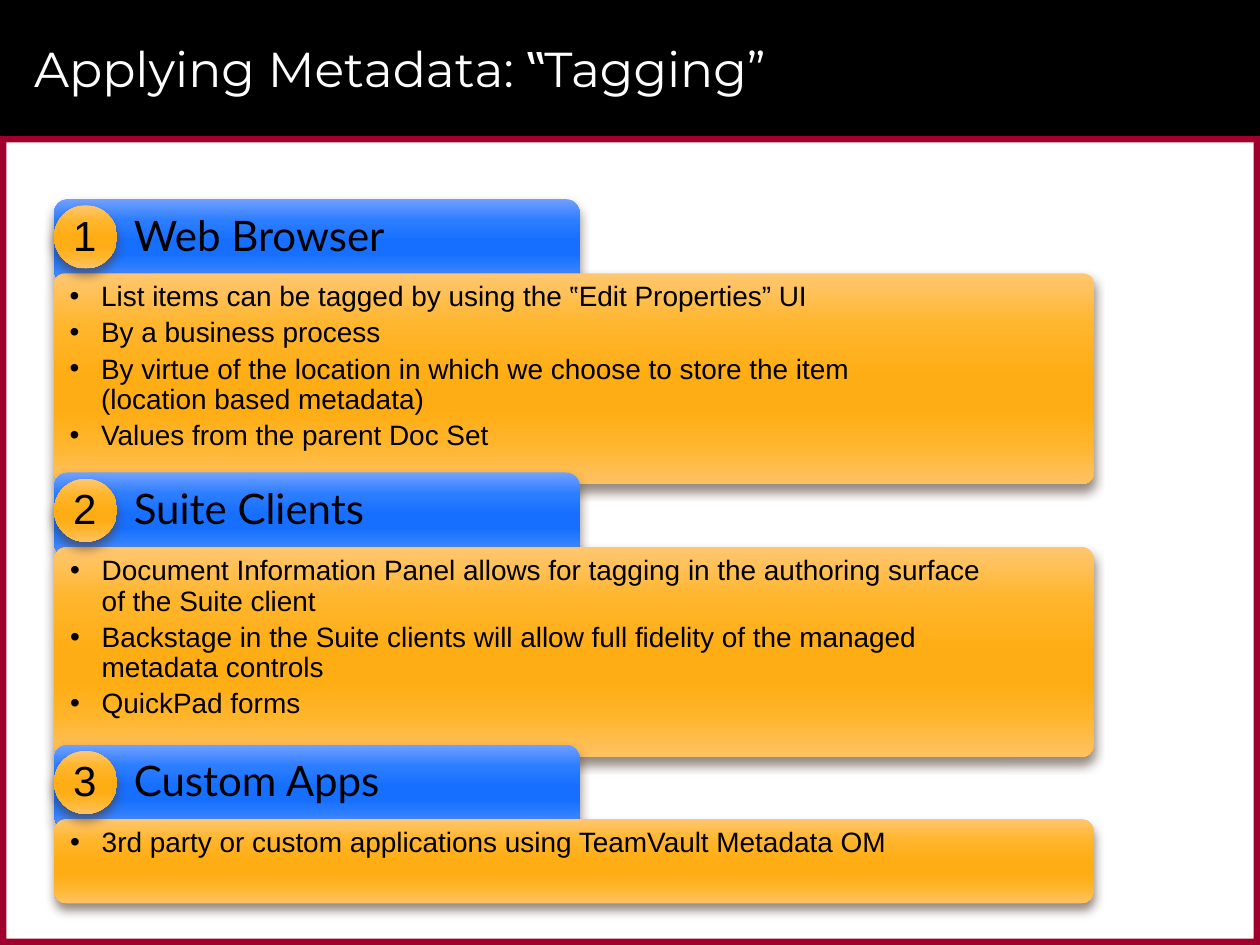
from lxml.etree import SubElement
from pptx import Presentation
from pptx.dml.color import RGBColor
from pptx.enum.shapes import MSO_SHAPE
from pptx.enum.text import MSO_ANCHOR, PP_ALIGN
from pptx.oxml import parse_xml
from pptx.oxml.ns import nsdecls, qn
from pptx.util import Inches, Pt

BLACK = RGBColor(0x00, 0x00, 0x00)
WHITE = RGBColor(0xFF, 0xFF, 0xFF)
CRIMSON = RGBColor(0x9F, 0x00, 0x2D)
SHADOW = RGBColor(0x4E, 0x3B, 0x30)
STOPS = (0, 25, 50, 65, 80, 100)
BLUES = [RGBColor.from_string(c) for c in
         ("71A0FF", "2D7EFF", "166FFF", "166FFF", "2B7DFF", "6398FF")]
ORANGES = [RGBColor.from_string(c) for c in
           ("FFC771", "FFB52C", "FFAD14", "FFAD14", "FFB42A", "FFC263")]

LEFT = 0.43
HEADER_HEIGHT = 0.67
# heading, top, panel height, panel corner, bullets (each a list of lines)
SECTIONS = [
    ("Web Browser", 1.58, 1.67, 0.05, [
        ["List items can be tagged by using the ‟Edit Properties” UI"],
        ["By a business process"],
        ["By virtue of the location in which we choose to store the item",
         "(location based metadata)"],
        ["Values from the parent Doc Set"]]),
    ("Suite Clients", 3.75, 1.67, 0.06, [
        ["Document Information Panel allows for tagging in the authoring surface",
         "of the Suite client"],
        ["Backstage in the Suite clients will allow full fidelity of the managed",
         "metadata controls"],
        ["QuickPad forms"]]),
    ("Custom Apps", 5.91, 0.67, 0.15, [
        ["3rd party or custom applications using TeamVault Metadata OM"]]),
]


def add_glossy_shape(kind, left, top, width, height, colors):
    """Add a borderless shape with a vertical gradient and a soft shadow below."""
    shape = slide.shapes.add_shape(
        kind, Inches(left), Inches(top), Inches(width), Inches(height))
    shape.line.fill.background()
    stops = "".join(f'<a:gs pos="{stop * 1000}"><a:srgbClr val="{color}"/></a:gs>'
                    for stop, color in zip(STOPS, colors))
    properties = shape._element.spPr
    properties.find(qn("a:prstGeom")).addnext(parse_xml(
        f'<a:gradFill {nsdecls("a")} rotWithShape="1"><a:gsLst>{stops}</a:gsLst>'
        '<a:lin ang="5400000" scaled="0"/></a:gradFill>'))
    properties.append(parse_xml(
        f'<a:effectLst {nsdecls("a")}><a:outerShdw blurRad="{Pt(6)}" dist="{Pt(4)}" '
        f'dir="5400000" rotWithShape="0"><a:srgbClr val="{SHADOW}">'
        '<a:alpha val="60000"/></a:srgbClr></a:outerShdw></a:effectLst>'))
    frame = shape.text_frame
    frame.word_wrap = True
    frame.vertical_anchor = MSO_ANCHOR.TOP
    return shape


def add_run(paragraph, text, font_name, size, color=BLACK):
    run = paragraph.add_run()
    run.text = text
    run.font.name = font_name
    run.font.size = Pt(size)
    run.font.color.rgb = color


presentation = Presentation()
presentation.slide_width = Inches(10)
presentation.slide_height = Inches(7.5)
slide = presentation.slides.add_slide(presentation.slide_layouts[5])

# Title band and frame
for left, top, width, height, color in [
        (0, 0, 10, 1.08, BLACK),
        (0, 1.08, 10, 0.05, CRIMSON),
        (0, 7.45, 10, 0.05, CRIMSON),
        (9.95, 1.08, 0.05, 6.42, CRIMSON),
        (0, 1.08, 0.05, 6.42, CRIMSON)]:
    band = slide.shapes.add_shape(
        MSO_SHAPE.RECTANGLE, Inches(left), Inches(top), Inches(width), Inches(height))
    band.fill.solid()
    band.fill.fore_color.rgb = color
    band.line.fill.background()
    band.shadow.inherit = False

# The title sits in front of its band
title = slide.shapes.title
slide.shapes._spTree.append(title._element)
title.left, title.top = Inches(0.17), Inches(0.08)
title.width, title.height = Inches(9.42), Inches(0.92)
title.text_frame.vertical_anchor = MSO_ANCHOR.MIDDLE
heading_line = title.text_frame.paragraphs[0]
heading_line.alignment = PP_ALIGN.LEFT
add_run(heading_line, "Applying Metadata: ‟Tagging”", "Montserrat", 28, WHITE)

for number, (heading, top, panel_height, corner, bullets) in enumerate(SECTIONS, 1):
    header = add_glossy_shape(
        MSO_SHAPE.ROUNDED_RECTANGLE, LEFT, top, 4.17, HEADER_HEIGHT, BLUES)
    header.text_frame.margin_left = Inches(0.6)
    paragraph = header.text_frame.paragraphs[0]
    paragraph.alignment = PP_ALIGN.LEFT
    add_run(paragraph, heading, "Lato", 24)

    panel = add_glossy_shape(
        MSO_SHAPE.ROUNDED_RECTANGLE, LEFT, top + 0.59, 8.25, panel_height, ORANGES)
    panel.adjustments[0] = corner
    for index, lines in enumerate(bullets):
        frame = panel.text_frame
        paragraph = frame.add_paragraph() if index else frame.paragraphs[0]
        properties = paragraph._p.get_or_add_pPr()
        properties.set("marL", str(Inches(0.25)))
        properties.set("indent", str(-Inches(0.25)))
        SubElement(properties, qn("a:buFont")).set("typeface", "Arial")
        SubElement(properties, qn("a:buChar")).set("char", "•")
        paragraph.alignment = PP_ALIGN.LEFT
        paragraph.line_spacing = 0.9
        paragraph.space_before = Pt(3.4 if index else 0)
        for line_index, line in enumerate(lines):
            if line_index:
                paragraph.add_line_break()
            add_run(paragraph, line, "Arial", 16)

    add_glossy_shape(MSO_SHAPE.OVAL, LEFT, top + 0.05, 0.5, 0.5, ORANGES)
    label = slide.shapes.add_textbox(
        Inches(0.58), Inches(top + 0.08), Inches(0.18), Inches(0.4))
    frame = label.text_frame
    frame.margin_left = frame.margin_right = frame.margin_top = frame.margin_bottom = 0
    frame.word_wrap = False
    frame.vertical_anchor = MSO_ANCHOR.MIDDLE
    add_run(frame.paragraphs[0], str(number), "Arial", 24)

presentation.save("out.pptx")
